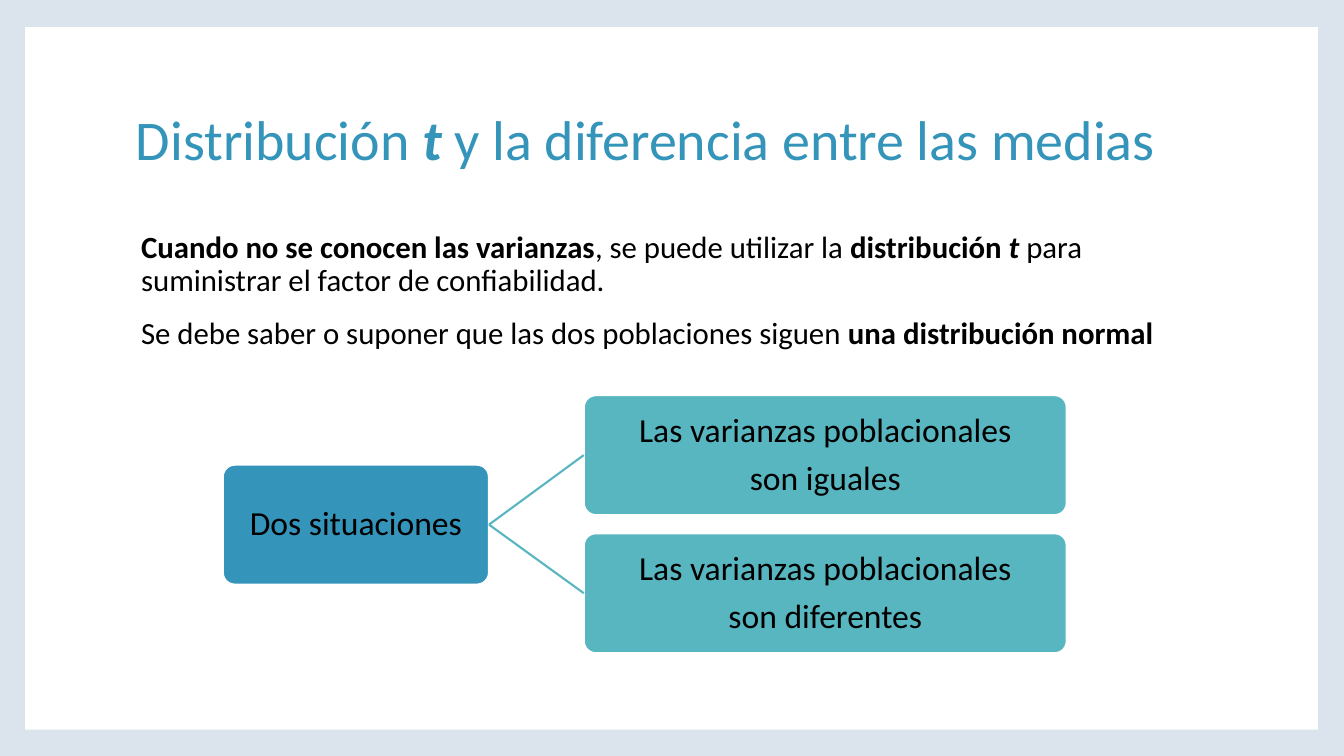
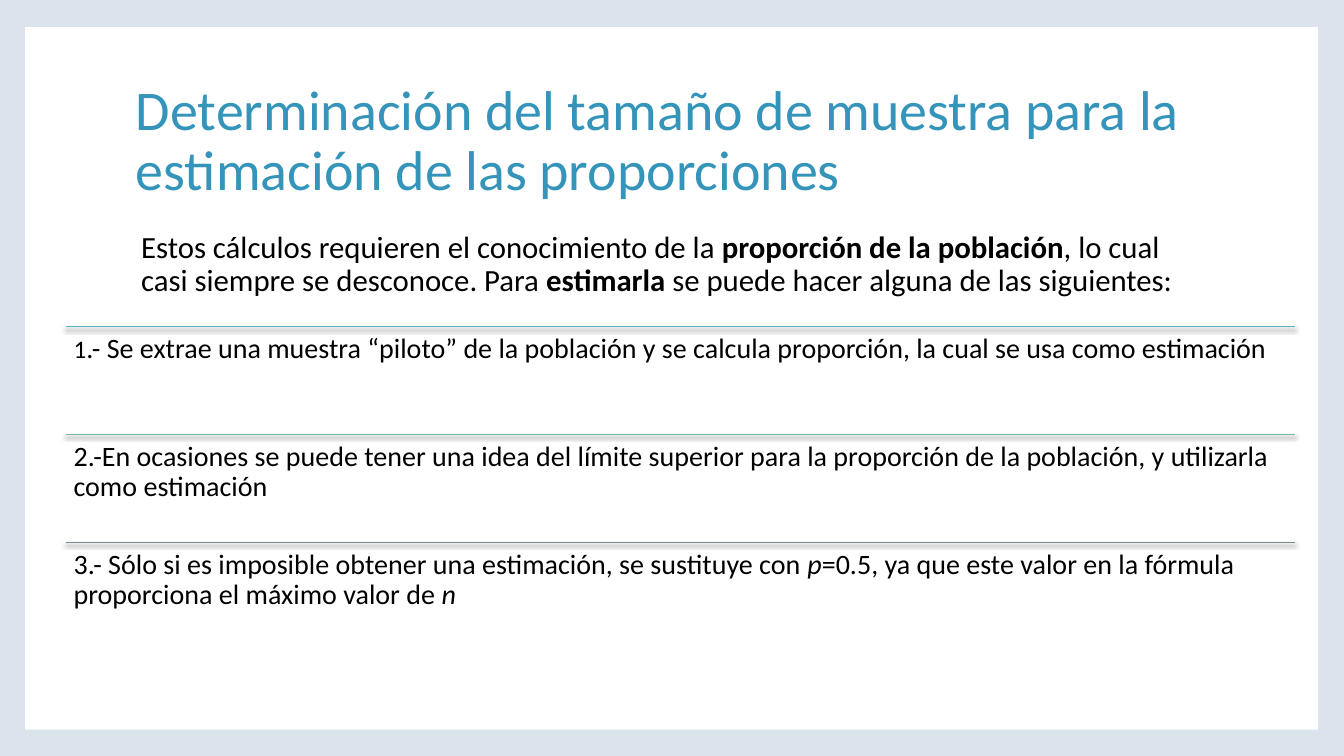
"""Build two statistics slides on the t distribution and on sample size."""
from lxml import etree
from pptx import Presentation, util as u
from pptx.dml import color as dml_color
from pptx.enum import shapes, text
from pptx.oxml import ns

BACKGROUND, PANEL, BLACK = "DBE4ED", "FFFFFF", "000000"
BLUE, TEAL, GREEN, GRAY = "3494BA", "58B6C0", "75BDA7", "7A8C8E"
FONT = "Calibri"
BOLD, ITALIC = {"bold": True}, {"italic": True}
BOLD_ITALIC = BOLD | ITALIC


def color(value):
    """Turn a hex string into a colour."""
    return dml_color.RGBColor.from_string(value)


def set_values(target, values):
    """Set every attribute named in a dict of format values."""
    for name, value in values.items():
        setattr(target, name, value)


def paint(fill, value):
    """Give a fill one solid colour."""
    fill.solid()
    fill.fore_color.rgb = color(value)


def margins(size):
    """Return equal frame margins in inches on all four sides."""
    return {f"margin_{side}": u.Inches(size) for side in ("left", "right", "top", "bottom")}


def write_text(frame, paragraphs, size, ink=BLACK, gap=0, align=text.PP_ALIGN.LEFT, **frame_values):
    """Fill a frame with paragraphs, each a list of (words, font values) runs."""
    set_values(frame, {"word_wrap": True} | frame_values)
    for index, runs in enumerate(paragraphs):
        paragraph = frame.add_paragraph() if index else frame.paragraphs[0]
        set_values(paragraph, {"alignment": align, "line_spacing": 0.9,
                               "space_before": u.Pt(gap if index else 0)})
        for words, font_values in runs:
            run = paragraph.add_run()
            run.text = words
            set_values(run.font, {"name": FONT, "size": u.Pt(size)} | font_values)
            run.font.color.rgb = color(ink)


def add_text(slide, place, paragraphs, size, **options):
    """Add a text box at a place given in inches."""
    shape = slide.shapes.add_textbox(*map(u.Inches, place))
    write_text(shape.text_frame, paragraphs, size, **options)


def add_block(slide, kind, place, fill, outline=None):
    """Add a flat filled shape, with an outline if a colour is given."""
    shape = slide.shapes.add_shape(kind, *map(u.Inches, place))
    shape.shadow.inherit = False
    paint(shape.fill, fill)
    if outline:
        paint(shape.line.fill, outline)
        shape.line.width = u.Pt(1.5)
    else:
        shape.line.fill.background()
    return shape


def add_node(slide, left, top, width, fill, lines):
    """Add a rounded diagram box with centred lines of text."""
    node = add_block(slide, shapes.MSO_SHAPE.ROUNDED_RECTANGLE, (left, top, width, 1.19), fill, PANEL)
    node.adjustments[0] = 0.1
    write_text(node.text_frame, [[(line, {})] for line in lines], 24, gap=8.4,
               align=text.PP_ALIGN.CENTER, vertical_anchor=text.MSO_ANCHOR.MIDDLE, **margins(0.05))
    return node


def add_line(slide, start, end, ink, width, shadow=False):
    """Add a straight line, flat or with a soft shadow below it."""
    line = slide.shapes.add_connector(shapes.MSO_CONNECTOR.STRAIGHT, *map(u.Inches, start + end))
    paint(line.line.fill, ink)
    line.line.width = u.Pt(width)
    effects = etree.SubElement(line._element.spPr, ns.qn("a:effectLst"))
    if shadow:
        outer = etree.SubElement(effects, ns.qn("a:outerShdw"), blurRad=str(u.Pt(3)),
                                 dist=str(u.Pt(2)), dir="5400000", rotWithShape="0")
        black = etree.SubElement(outer, ns.qn("a:srgbClr"), val=BLACK)
        etree.SubElement(black, ns.qn("a:alpha"), val="45000")
    return line


def add_content_slide(presentation, title, body):
    """Add a slide with the white panel, a title and body paragraphs."""
    slide = presentation.slides.add_slide(presentation.slide_layouts[6])
    add_block(slide, shapes.MSO_SHAPE.RECTANGLE, (0.25, 0.27, 12.82, 6.97), PANEL)
    add_text(slide, (1.25, 0.67, 10.8, 1.48), [title], 40, ink=BLUE,
             vertical_anchor=text.MSO_ANCHOR.MIDDLE)
    add_text(slide, (1.25, 2.25, 10.8, 1.4), body, 22, gap=14, margin_left=u.Inches(0.15))
    return slide


def add_branches(slide, root_label, branches):
    """Add a root box joined to a column of branch boxes."""
    root = add_node(slide, 2.21, 4.61, 2.64, BLUE, [root_label])
    for index, lines in enumerate(branches):
        branch = add_node(slide, 5.79, 3.92 + 1.37 * index, 4.79, TEAL, lines)
        link = add_line(slide, (0, 0), (1, 1), TEAL, 1.5)
        link.begin_connect(root, 3)
        link.end_connect(branch, 1)


def add_ruled_list(slide, items):
    """Add text rows, each under a coloured rule."""
    left, top, width, height = 0.65, 3.24, 12.19, 1.07
    for index, (ink, runs) in enumerate(items):
        row_top = top + height * index
        add_line(slide, (left, row_top), (left + width, row_top), ink, 0.79, shadow=True)
        add_text(slide, (left, row_top, width, height), [runs], 20, **margins(0.08))


def main():
    """Build and save the presentation."""
    presentation = Presentation()
    set_values(presentation, {"slide_width": u.Inches(13.33), "slide_height": u.Inches(7.5)})
    paint(presentation.slide_master.background.fill, BACKGROUND)

    slide = add_content_slide(
        presentation,
        [("Distribución ", {}), ("t", BOLD_ITALIC), (" y la diferencia entre las medias", {})],
        [[("Cuando no se conocen las varianzas", BOLD), (", se puede utilizar la ", {}),
          ("distribución ", BOLD), ("t ", BOLD_ITALIC),
          ("para suministrar el factor de confiabilidad.", {})],
         [("Se debe saber o suponer que las dos poblaciones siguen ", {}),
          ("una distribución normal", BOLD)]])
    add_branches(slide, "Dos situaciones",
                 [("Las varianzas poblacionales", ending)
                  for ending in ("son iguales", "son diferentes")])

    slide = add_content_slide(
        presentation,
        [("Determinación del tamaño de muestra para la estimación de las proporciones", {})],
        [[("Estos cálculos requieren el conocimiento de la ", {}),
          ("proporción de la población", BOLD),
          (", lo cual casi siempre se desconoce. Para ", {}), ("estimarla", BOLD),
          (" se puede hacer alguna de las siguientes:", {})]])
    add_ruled_list(slide, [
        (TEAL, [("1", {"size": u.Pt(18)}),
                (".- Se extrae una muestra “piloto” de la población y se calcula proporción, "
                 "la cual se usa como estimación", {})]),
        (GREEN, [("2.-En ocasiones se puede tener una idea del límite superior para la proporción "
                  "de la población, y utilizarla como estimación", {})]),
        (GRAY, [("3.- Sólo si es imposible obtener una estimación, se sustituye con ", {}),
                ("p", ITALIC),
                ("=0.5, ya que este valor en la fórmula proporciona el máximo valor de ", {}),
                ("n", ITALIC)])])

    presentation.save("out.pptx")


if __name__ == "__main__":
    main()
